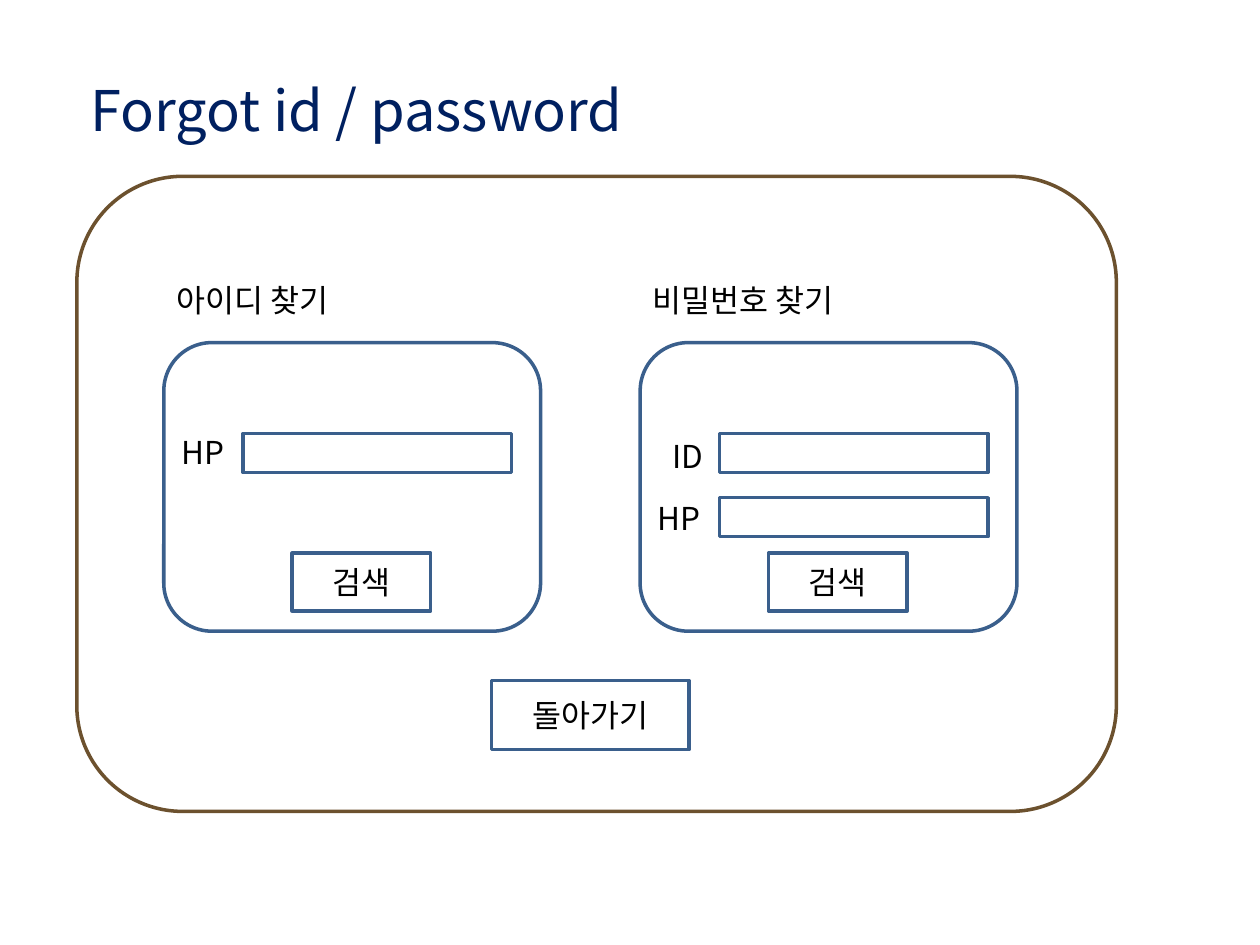
"""Build the wireframe slide of the id and password recovery screen."""
from lxml.etree import SubElement
from pptx import Presentation
from pptx.dml.color import RGBColor
from pptx.enum.shapes import MSO_SHAPE as SHAPE
from pptx.enum.text import MSO_ANCHOR as ANCHOR, MSO_AUTO_SIZE as AUTO, PP_ALIGN as ALIGN
from pptx.oxml.ns import qn
from pptx.util import Pt

NAVY = RGBColor(0x00, 0x20, 0x60)
BROWN = RGBColor(0x6C, 0x51, 0x2E)
BLUE = RGBColor(0x3A, 0x5F, 0x8C)
BLACK = RGBColor(0x00, 0x00, 0x00)
WHITE = RGBColor(0xFF, 0xFF, 0xFF)


class Wireframe:
    """Style and current slide of the wireframe."""

    font = "Noto Sans CJK KR"
    size = 18
    line_width = 2

    def __init__(self, slide):
        self.s = slide

    def add_run(self, tf, text, size=size, color=BLACK, align=ALIGN.LEFT):
        """Add one styled run to the first paragraph."""
        p = tf.paragraphs[0]
        p.alignment = align
        r = p.add_run()
        r.text = text
        r.font.size = Pt(size)
        r.font.color.rgb = color
        r.font.name = self.font
        SubElement(r._r.get_or_add_rPr(), qn("a:ea"), typeface=self.font)

    def title(self, text, x, y, w, h):
        """Place and fill the title placeholder."""
        sp = self.s.shapes.title
        sp.left, sp.top, sp.width, sp.height = Pt(x), Pt(y), Pt(w), Pt(h)
        tf = sp.text_frame
        tf.word_wrap = True
        tf.auto_size = AUTO.SHAPE_TO_FIT_TEXT
        tf.vertical_anchor = ANCHOR.TOP
        self.add_run(tf, text, 32, NAVY)

    def label(self, text, x, y, w, h=28.8):
        """Add a text box."""
        tf = self.s.shapes.add_textbox(Pt(x), Pt(y), Pt(w), Pt(h)).text_frame
        tf.word_wrap = True
        tf.auto_size = AUTO.SHAPE_TO_FIT_TEXT
        self.add_run(tf, text)

    def box(self, x, y, w, h, kind=SHAPE.RECTANGLE, color=BLUE, text=None):
        """Add an outlined box with optional centred text."""
        sp = self.s.shapes.add_shape(kind, Pt(x), Pt(y), Pt(w), Pt(h))
        sp.shadow.inherit = False
        sp.fill.solid()
        sp.fill.fore_color.rgb = WHITE
        sp.line.color.rgb = color
        sp.line.width = Pt(self.line_width)
        if text:
            sp.text_frame.vertical_anchor = ANCHOR.MIDDLE
            self.add_run(sp.text_frame, text, align=ALIGN.CENTER)

    def panel(self, x, heading, fields):
        """Add a search panel with its heading, labelled fields and button."""
        self.label(heading, x, 157, 193)
        self.box(x, 195.8, 215.3, 164.9, SHAPE.ROUNDED_RECTANGLE)
        for name, dx, label_y, label_w, field_y in fields:
            self.box(x + 45.4, field_y, 153.4, 22.3)
            self.label(name, x + dx, label_y, label_w)
        self.box(x + 73.4, 316.1, 79.2, 33.1, text="검색")


def main():
    """Create the presentation and save it."""
    prs = Presentation()
    prs.slide_width, prs.slide_height = Pt(720), Pt(540)
    wf = Wireframe(prs.slides.add_slide(prs.slide_layouts[5]))
    wf.box(43.9, 100.8, 594, 362.9, SHAPE.ROUNDED_RECTANGLE, BROWN)
    wf.title("Forgot id / password", 44.6, 39.6, 457.2, 46.1)
    wf.panel(93.6, "아이디 찾기", [("HP", 2.9, 244.1, 51.1, 247.7)])
    wf.panel(365.8, "비밀번호 찾기", [
        ("ID", 11.5, 246.2, 39.6, 247.7),
        ("HP", 2.9, 281.5, 51.1, 284.4),
    ])
    wf.box(280.8, 388.8, 113, 39.6, text="돌아가기")
    prs.save("out.pptx")


if __name__ == "__main__":
    main()
